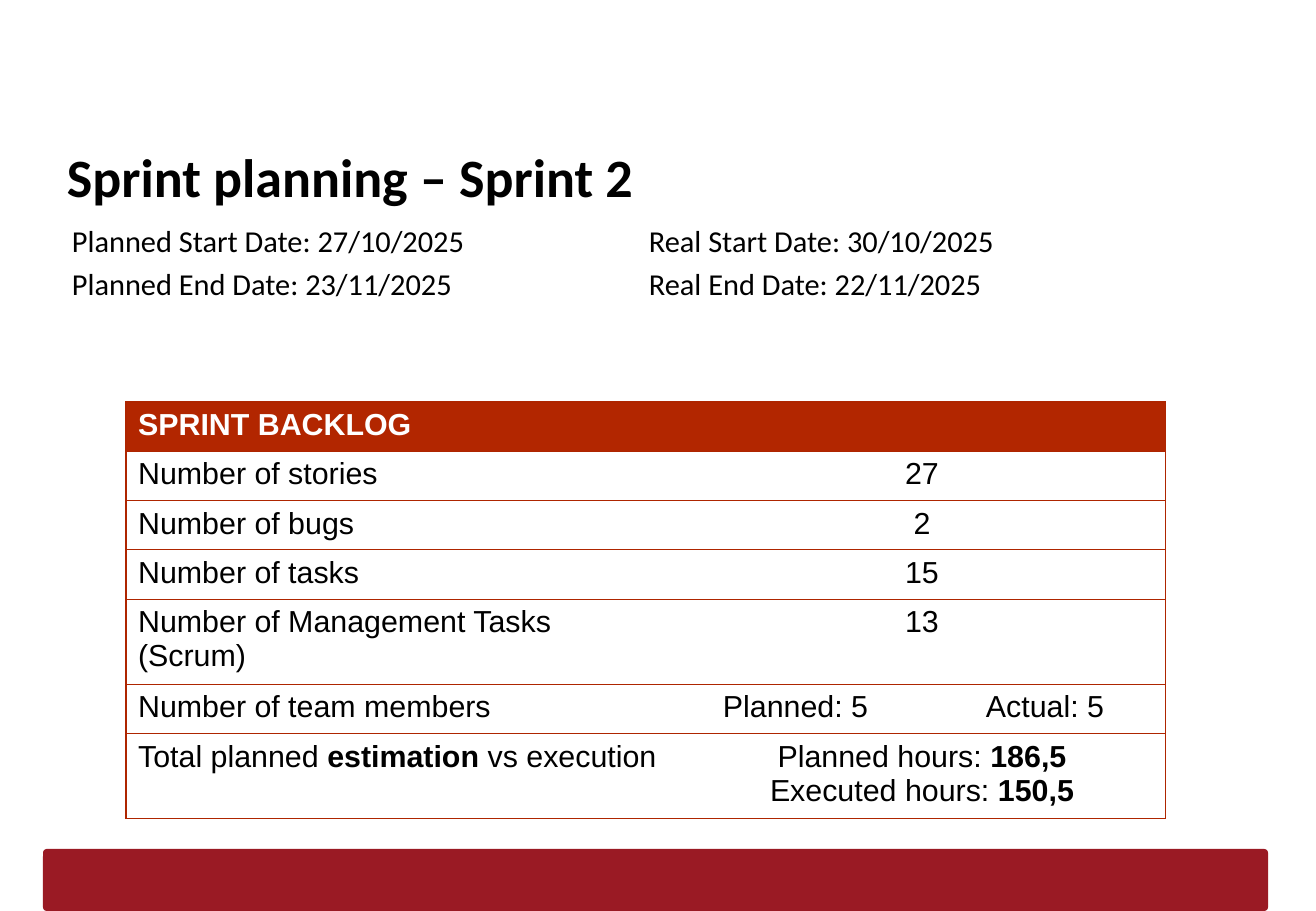
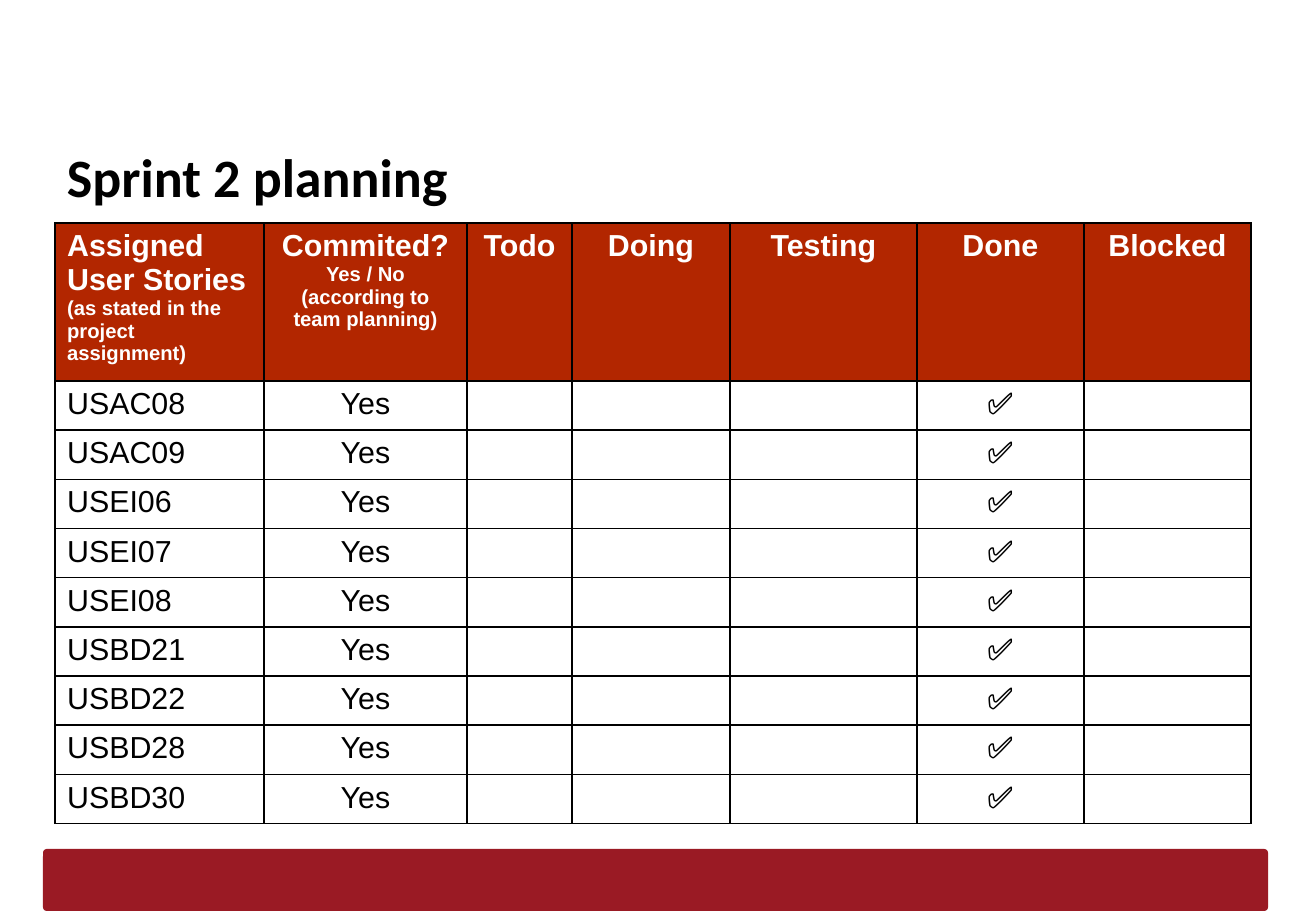
import dataclasses
import typing

import pptx
import pptx.dml.color
import pptx.enum.shapes
import pptx.enum.text
import pptx.oxml
import pptx.oxml.ns
import pptx.util

EMU_PER_PX = 914400 / 121.5
LEFT = pptx.enum.text.PP_ALIGN.LEFT
CENTER = pptx.enum.text.PP_ALIGN.CENTER


@dataclasses.dataclass(frozen=True)
class Theme:
    band: str = "9A1A24"
    header: str = "B22600"
    rule: str = "AE2500"
    ink: str = "000000"
    paper: str = "FFFFFF"
    title_font: str = "Calibri"
    table_font: str = "Arial"
    title_size: int = 32
    body_size: int = 18
    note_size: int = 12


THEME = Theme()


class Box(typing.NamedTuple):
    left: int
    top: int
    width: int
    height: int


class Run(typing.NamedTuple):
    text: str
    bold: bool = False
    size: int = THEME.body_size


SLIDE = Box(0, 0, 1316, 911)
BAND = Box(43, 849, 1225, 62)
TITLE = Box(55, 132, 1202, 77)
DATES = Box(60, 216, 1202, 95)
BACKLOG = Box(126, 402, 1040, 345)
BOARD = Box(55, 223, 1196, 492)


def px(length):
    return pptx.util.Emu(round(length * EMU_PER_PX))


def rgb(color):
    return pptx.dml.color.RGBColor.from_string(color)


def write_paragraph(paragraph, runs, font, color, align=LEFT):
    paragraph.alignment = align
    for part in runs:
        run = paragraph.add_run()
        run.text = part.text
        run.font.name = font
        run.font.size = pptx.util.Pt(part.size)
        run.font.bold = part.bold
        run.font.color.rgb = rgb(color)


def write_paragraphs(frame, paragraphs, font, color, align=LEFT):
    for index, runs in enumerate(paragraphs):
        paragraph = frame.add_paragraph() if index else frame.paragraphs[0]
        write_paragraph(paragraph, runs, font, color, align)


def add_tab_stop(paragraph, position):
    properties = paragraph._p.get_or_add_pPr()
    properties.append(pptx.oxml.parse_xml(
        f'<a:tabLst {pptx.oxml.ns.nsdecls("a")}>'
        f'<a:tab pos="{px(position)}" algn="l"/></a:tabLst>'))


def add_text(slide, box, paragraphs, inset):
    text_box = slide.shapes.add_textbox(*map(px, box))
    frame = text_box.text_frame
    frame.word_wrap = True
    frame.margin_left = frame.margin_right = px(12)
    frame.margin_top = frame.margin_bottom = px(inset)
    write_paragraphs(frame, paragraphs, THEME.title_font, THEME.ink)
    return frame


# Cell edges: a colour draws the line, None leaves it out
def set_borders(cell, width, **edges):
    properties = cell._tc.get_or_add_tcPr()
    for side in "LRTB":
        color = edges.get(side)
        fill = (f'<a:solidFill><a:srgbClr val="{color}"/></a:solidFill>'
                if color else "<a:noFill/>")
        properties.append(pptx.oxml.parse_xml(
            f'<a:ln{side} {pptx.oxml.ns.nsdecls("a")} '
            f'w="{pptx.util.Pt(width)}">{fill}</a:ln{side}>'))


# Table with a filled header row and a left-aligned first column
def add_grid(slide, box, columns, rows, line, line_width, inner_columns):
    shape = slide.shapes.add_table(len(rows), len(columns), *map(px, box))
    table = shape.table
    table.first_row = table.horz_banding = False
    for column, width in zip(table.columns, columns):
        column.width = px(width)
    last = len(columns) - 1
    for row_index, row in enumerate(rows):
        table.rows[row_index].height = px(box.height / len(rows))
        for column_index, paragraphs in enumerate(row):
            cell = table.cell(row_index, column_index)
            set_borders(
                cell, line_width, T=line, B=line,
                L=line if inner_columns or column_index == 0 else None,
                R=line if inner_columns or column_index == last else None)
            if row_index == 0:
                cell.fill.solid()
                cell.fill.fore_color.rgb = rgb(THEME.header)
            else:
                cell.fill.background()
            write_paragraphs(
                cell.text_frame, paragraphs, THEME.table_font,
                THEME.ink if row_index else THEME.paper,
                CENTER if column_index else LEFT)
    return table


def plain(text):
    return [[Run(text)]] if text else []


def heading(text):
    return [[Run(text, True)]]


# Blank slide with the shared title and bottom band
def add_base_slide(presentation, title):
    slide = presentation.slides.add_slide(presentation.slide_layouts[6])
    band = slide.shapes.add_shape(
        pptx.enum.shapes.MSO_SHAPE.ROUNDED_RECTANGLE, *map(px, BAND))
    band.adjustments[0] = 0.06
    band.shadow.inherit = False
    band.fill.solid()
    band.fill.fore_color.rgb = rgb(THEME.band)
    band.line.fill.background()
    add_text(slide, TITLE, [[Run(title, True, THEME.title_size)]], 12)
    return slide


def add_dates(slide, box):
    lines = ["Planned Start Date: 27/10/2025\tReal Start Date: 30/10/2025",
             "Planned End Date: 23/11/2025\tReal End Date: 22/11/2025"]
    frame = add_text(slide, box, [[Run(line)] for line in lines], 6)
    for paragraph in frame.paragraphs:
        add_tab_stop(paragraph, 577)
        paragraph.space_after = pptx.util.Pt(4)


def add_backlog(slide, box):
    counts = [("Number of stories", "27"),
              ("Number of bugs", "2"),
              ("Number of tasks", "15"),
              ("Number of Management Tasks (Scrum)", "13"),
              ("Number of team members", "Planned: 5\tActual: 5")]
    rows = [[heading("SPRINT BACKLOG"), []]]
    rows += [[plain(label), plain(value)] for label, value in counts]
    rows.append([
        [[Run("Total planned "), Run("estimation", True),
          Run(" vs execution")]],
        [[Run("Planned hours: "), Run("186,5", True)],
         [Run("Executed hours: "), Run("150,5", True)]]])
    label_width = 552
    table = add_grid(slide, box, [label_width, box.width - label_width],
                     rows, THEME.rule, 0.75, inner_columns=False)
    # Planned and actual team size stand side by side
    team = table.cell(len(counts), 1)
    team.margin_left = px(45)
    paragraph = team.text_frame.paragraphs[0]
    paragraph.alignment = LEFT
    add_tab_stop(paragraph, 263)


def add_board(slide, box):
    stories = ["USAC08", "USAC09", "USEI06", "USEI07", "USEI08",
               "USBD21", "USBD22", "USBD28", "USBD30"]
    states = ["Todo", "Doing", "Testing", "Done", "Blocked"]
    small = THEME.note_size
    header = [
        [[Run("Assigned User Stories ", True),
          Run("(as stated in the project assignment)", True, small)]],
        [[Run("Commited?", True)],
         [Run("Yes / No (according to team planning)", True, small)]]]
    rows = [header + [heading(state) for state in states]]
    for story in stories:
        marks = [plain("✅" if state == "Done" else "") for state in states]
        rows.append([plain(story), plain("Yes")] + marks)
    add_grid(slide, box, [209, 203, 105, 158, 187, 167, 167],
             rows, THEME.ink, 1, inner_columns=True)


def main():
    presentation = pptx.Presentation()
    presentation.slide_width = px(SLIDE.width)
    presentation.slide_height = px(SLIDE.height)

    # Sprint summary
    slide = add_base_slide(presentation, "Sprint planning – Sprint 2")
    add_backlog(slide, BACKLOG)
    add_dates(slide, DATES)

    # Story board
    slide = add_base_slide(presentation, "Sprint 2 planning")
    add_board(slide, BOARD)

    presentation.save("out.pptx")


if __name__ == "__main__":
    main()
